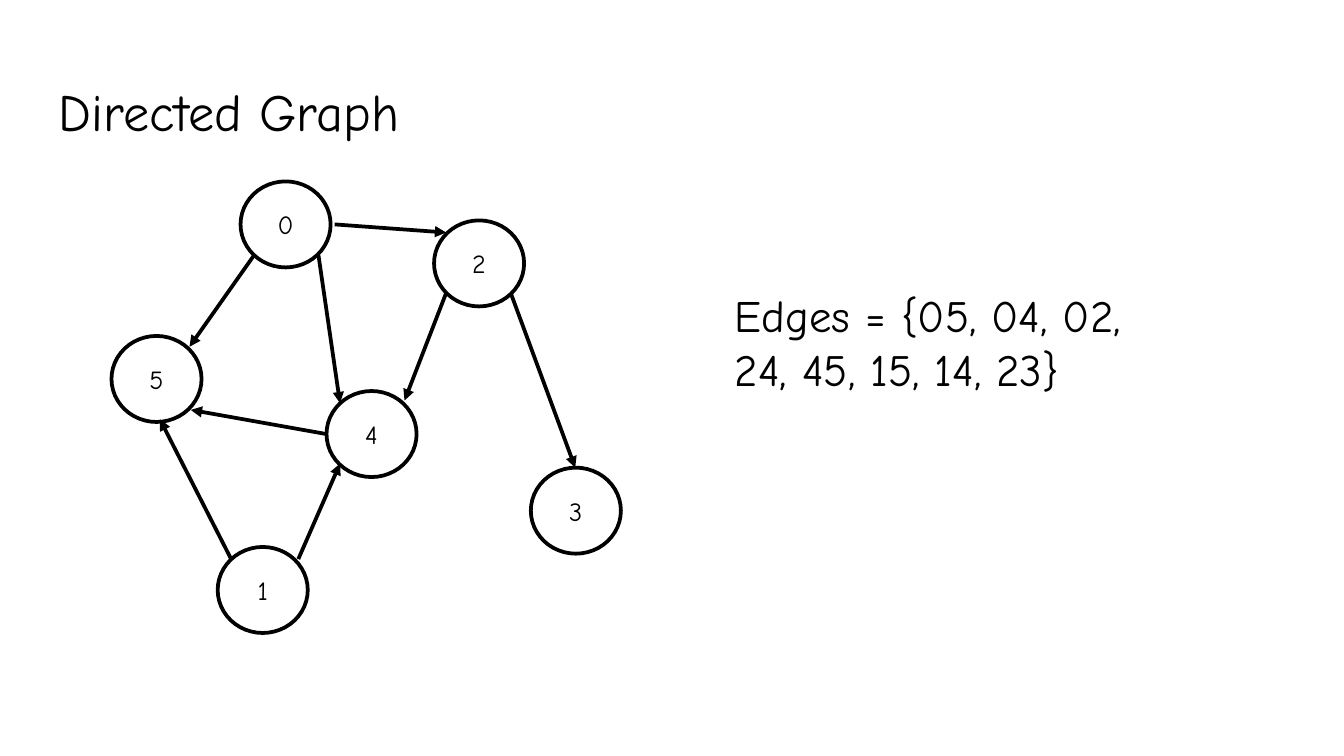
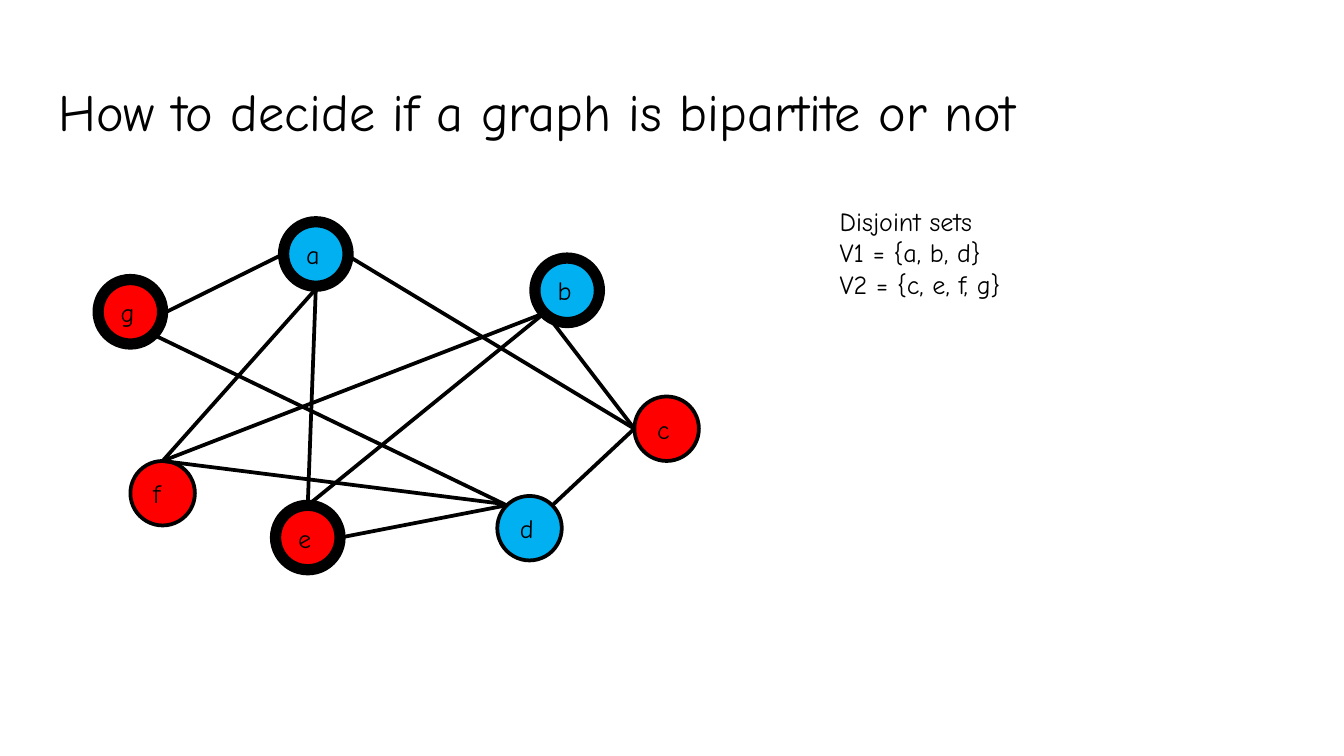
from lxml.etree import SubElement
from pptx import Presentation
from pptx.dml.color import RGBColor
from pptx.enum.shapes import MSO_CONNECTOR, MSO_SHAPE
from pptx.enum.text import MSO_ANCHOR, PP_ALIGN
from pptx.oxml.ns import qn
from pptx.util import Inches, Pt

BLACK = RGBColor(0x00, 0x00, 0x00)
WHITE = RGBColor(0xFF, 0xFF, 0xFF)
BLUE = RGBColor(0x00, 0xB0, 0xF0)
RED = RGBColor(0xFF, 0x00, 0x00)
FONT = "Comic Neue"


def write_text(shape, lines, size, align=PP_ALIGN.LEFT, anchor=MSO_ANCHOR.TOP, inset=0.1):
    frame = shape.text_frame
    frame.word_wrap = True
    frame.vertical_anchor = anchor
    frame.margin_left = frame.margin_right = Inches(0.1)
    frame.margin_top = frame.margin_bottom = Inches(inset)
    frame.text = "\n".join(lines)
    for para in frame.paragraphs:
        para.alignment = align
        para.font.name = FONT
        para.font.size = Pt(size)
        para.font.color.rgb = BLACK


def draw_graph(page, nodes, width, height, align, edges, arrows):
    """Nodes are (label, left, top, fill, outline in points); edges are (x1, y1, x2, y2)."""
    for label, left, top, fill, outline in nodes:
        node = page.shapes.add_shape(MSO_SHAPE.FLOWCHART_CONNECTOR, Inches(left), Inches(top),
                                     Inches(width), Inches(height))
        node.shadow.inherit = False
        node.fill.solid()
        node.fill.fore_color.rgb = fill
        node.line.color.rgb = BLACK
        node.line.width = Pt(outline)
        write_text(node, [label], 14, align, MSO_ANCHOR.MIDDLE)
    for ends in edges:
        edge = page.shapes.add_connector(MSO_CONNECTOR.STRAIGHT, *[Inches(end) for end in ends])
        edge.line.color.rgb = BLACK
        edge.line.width = Pt(2)
        properties = edge._element.spPr
        if arrows:
            SubElement(properties.find(qn("a:ln")), qn("a:tailEnd"), type="triangle")
        SubElement(properties, qn("a:effectLst"))


deck = Presentation()
deck.slide_width = Inches(10)
deck.slide_height = deck.slide_width * 9 // 16

pages = []
for title in ["Directed Graph", "How to decide if a graph is bipartite or not"]:
    page = deck.slides.add_slide(deck.slide_layouts[6])
    box = page.shapes.add_textbox(Inches(0.34), Inches(0.49), Inches(9.32), Inches(0.63))
    write_text(box, [title], 28)
    pages.append(page)
directed_page, bipartite_page = pages

# Directed graph
directed_nodes = [(label, left, top, WHITE, 2) for label, left, top in [
    ("0", 1.79, 1.35),
    ("2", 3.23, 1.64),
    ("4", 2.43, 2.91),
    ("3", 3.95, 3.48),
    ("1", 1.62, 4.07),
    ("5", 0.83, 2.5),
]]
directed_edges = [
    (1.89, 1.9, 1.41, 2.58),   # 0 to 5
    (2.49, 1.67, 3.32, 1.73),  # 0 to 2
    (2.37, 1.9, 2.53, 3),      # 0 to 4
    (2.43, 3.23, 1.42, 3.05),  # 4 to 5
    (1.72, 4.16, 1.19, 3.12),  # 1 to 5
    (2.22, 4.16, 2.53, 3.45),  # 1 to 4
    (3.32, 2.18, 3.01, 2.98),  # 2 to 4
    (3.8, 2.18, 4.28, 3.48),   # 2 to 3
]
draw_graph(directed_page, directed_nodes, 0.67, 0.64, PP_ALIGN.CENTER, directed_edges, True)

edge_list = directed_page.shapes.add_shape(MSO_SHAPE.RECTANGLE, Inches(5.37), Inches(2.04),
                                           Inches(4.34), Inches(0.99))
edge_list.shadow.inherit = False
edge_list.fill.solid()
edge_list.fill.fore_color.rgb = WHITE
edge_list.line.fill.background()
write_text(edge_list, ["Edges = {05, 04, 02,", "24, 45, 15, 14, 23}"], 24)

# Bipartite graph
bipartite_nodes = [
    ("a", 2.11, 1.65, BLUE, 6),
    ("b", 3.98, 1.92, BLUE, 6),
    ("g", 0.73, 2.08, RED, 6),
    ("f", 0.97, 3.43, RED, 2),
    ("e", 2.05, 3.76, RED, 6),
    ("d", 3.7, 3.69, BLUE, 2),
    ("c", 4.72, 2.95, RED, 2),
]
bipartite_edges = [
    (1.22, 2.33, 2.11, 1.89),  # g, a
    (2.6, 1.91, 4.72, 3.19),   # a, c
    (2.35, 2.15, 1.21, 3.43),  # a, f
    (2.35, 2.14, 2.29, 3.76),  # a, e
    (4.06, 2.33, 4.72, 3.19),  # b, c
    (4.05, 2.33, 2.29, 3.76),  # b, e
    (4.05, 2.33, 1.21, 3.43),  # b, f
    (1.14, 2.49, 3.77, 3.76),  # g, d
    (4.11, 3.76, 4.72, 3.19),  # d, c
    (3.75, 3.75, 1.21, 3.43),  # d, f
    (3.77, 3.76, 2.53, 4),     # d, e
]
draw_graph(bipartite_page, bipartite_nodes, 0.48, 0.48, PP_ALIGN.LEFT, bipartite_edges, False)

sets_box = bipartite_page.shapes.add_textbox(Inches(6.15), Inches(1.48), Inches(2.5), Inches(1.04))
write_text(sets_box, ["Disjoint sets", "V1 = {a, b, d}", "V2 = {c, e, f, g}"], 14, inset=0.05)

deck.save("out.pptx")
